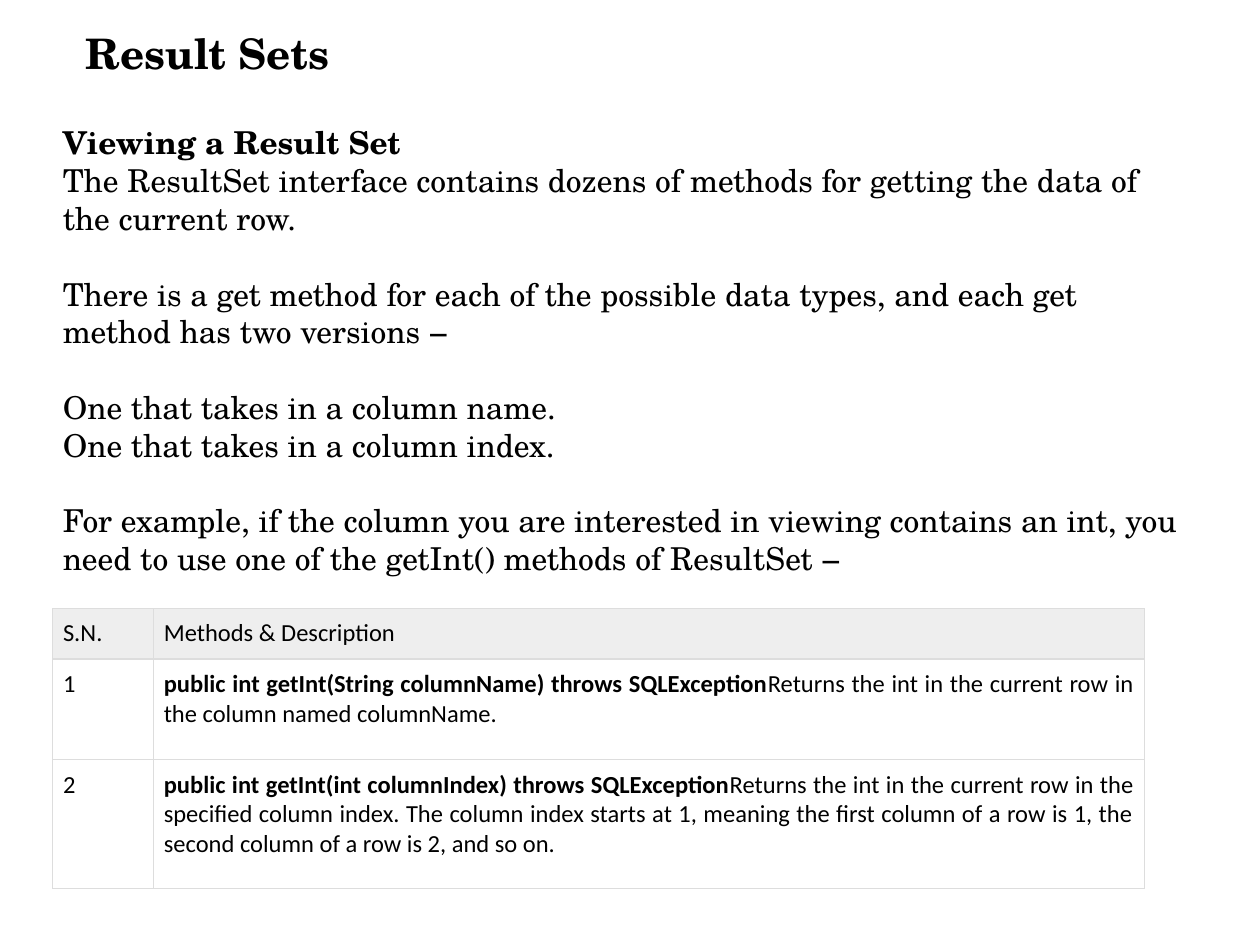
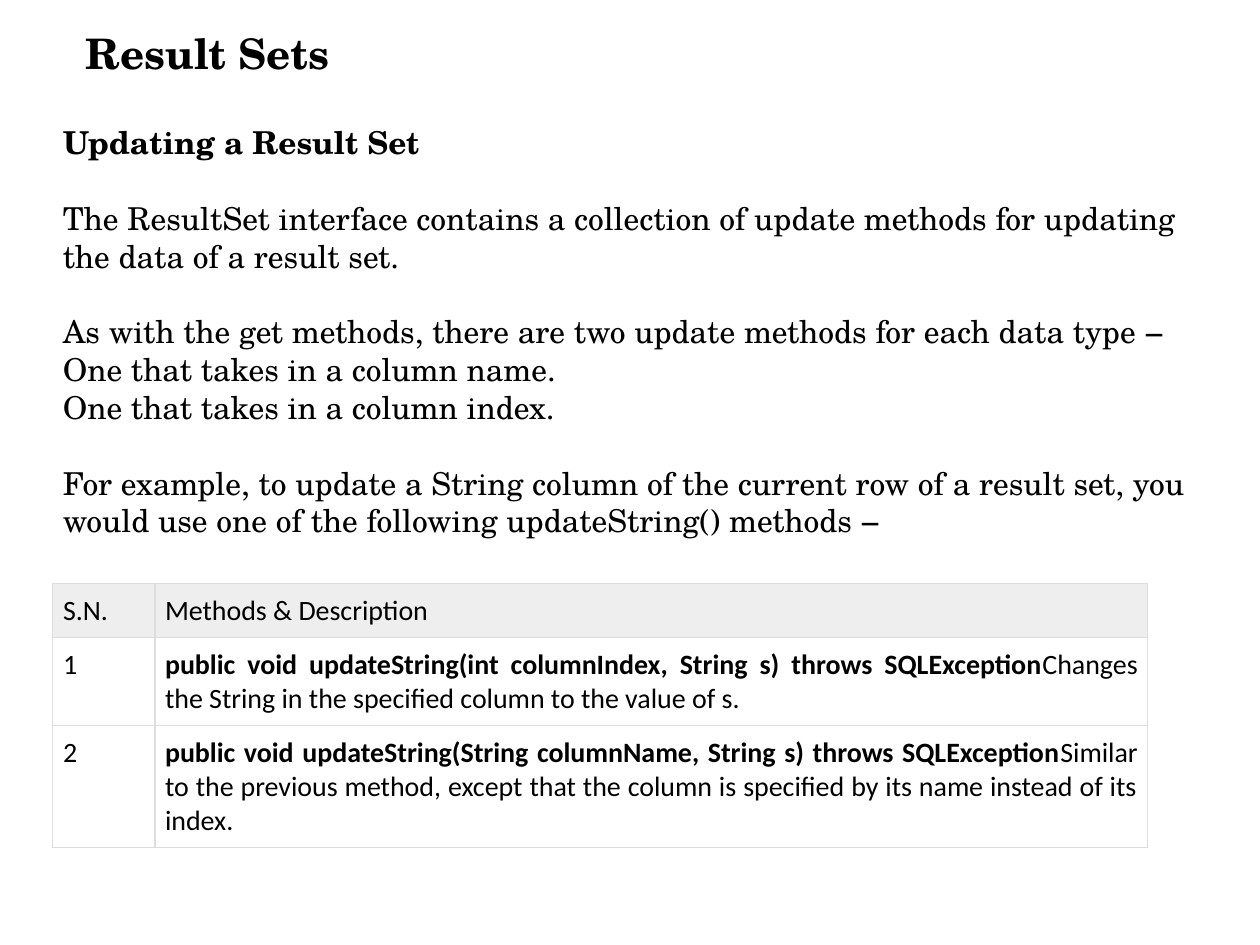
import dataclasses
import lxml.etree
import pptx
import pptx.dml.color
import pptx.enum.text
import pptx.oxml.ns
import pptx.util

Inches = pptx.util.Inches
Pt = pptx.util.Pt
Align = pptx.enum.text.PP_ALIGN


@dataclasses.dataclass(frozen=True)
class Theme:
    ink: str = "000000"
    header_fill: str = "EEEEEE"
    border: str = "DDDDDD"
    border_width: float = 0.75
    serif: str = "TeX Gyre Schola"
    sans: str = "Calibri"
    title_size: int = 24
    body_size: int = 18
    body_gap: float = 21.6
    cell_inset: float = 0.08


theme = Theme()


def write(paragraph, text, font, size, bold=False, align=Align.LEFT, gap=0):
    paragraph.alignment = align
    paragraph.space_before = Pt(gap)
    run = paragraph.add_run()
    run.text = text
    run.font.name = font
    run.font.size = Pt(size)
    run.font.bold = bold
    run.font.color.rgb = pptx.dml.color.RGBColor.from_string(theme.ink)


def format_cell(cell, fill=None):
    cell.margin_left = cell.margin_right = Inches(theme.cell_inset)
    cell.margin_top = cell.margin_bottom = Inches(theme.cell_inset)
    properties = cell._tc.get_or_add_tcPr()
    for side in ("lnL", "lnR", "lnT", "lnB"):
        line = lxml.etree.SubElement(
            properties, pptx.oxml.ns.qn(f"a:{side}"), w=str(Pt(theme.border_width)))
        solid = lxml.etree.SubElement(line, pptx.oxml.ns.qn("a:solidFill"))
        lxml.etree.SubElement(solid, pptx.oxml.ns.qn("a:srgbClr"), val=theme.border)
    if fill:
        cell.fill.solid()
        cell.fill.fore_color.rgb = pptx.dml.color.RGBColor.from_string(fill)
    else:
        cell.fill.background()


pages = [
    {
        "heading": "Viewing a Result Set",
        "blocks": [
            ["The ResultSet interface contains dozens of methods for getting the data of "
             "the current row."],
            ["There is a get method for each of the possible data types, and each get "
             "method has two versions −"],
            ["One that takes in a column name.", "One that takes in a column index."],
            ["For example, if the column you are interested in viewing contains an int, you "
             "need to use one of the getInt() methods of ResultSet −"],
        ],
        "heading_gap": 0,
        "body_height": 4.95,
        "table_top": 4.83,
        "columns": [0.8, 7.86],
        "rows": [0.4, 0.8, 1.02],
        "table_size": 14,
        "methods": [
            ("public int getInt(String columnName) throws SQLException",
             "Returns the int in the current row in the column named columnName."),
            ("public int getInt(int columnIndex) throws SQLException",
             "Returns the int in the current row in the specified column index. The column "
             "index starts at 1, meaning the first column of a row is 1, the second column "
             "of a row is 2, and so on."),
        ],
    },
    {
        "heading": "Updating a Result Set",
        "blocks": [
            ["The ResultSet interface contains a collection of update methods for updating "
             "the data of a result set."],
            ["As with the get methods, there are two update methods for each data type −",
             "One that takes in a column name.", "One that takes in a column index."],
            ["For example, to update a String column of the current row of a result set, you "
             "would use one of the following updateString() methods −"],
        ],
        "heading_gap": theme.body_gap,
        "body_height": 3.74,
        "table_top": 4.63,
        "columns": [0.81, 7.88],
        "rows": [0.43, 0.7, 0.97],
        "table_size": 16,
        "methods": [
            ("public void updateString(int columnIndex, String s) throws SQLException",
             "Changes the String in the specified column to the value of s."),
            ("public void updateString(String columnName, String s) throws SQLException",
             "Similar to the previous method, except that the column is specified by its "
             "name instead of its index."),
        ],
    },
]

presentation = pptx.Presentation()
presentation.slide_width = Inches(10)
presentation.slide_height = Inches(7.5)

for page in pages:
    slide = presentation.slides.add_slide(presentation.slide_layouts[6])

    title = slide.shapes.add_textbox(Inches(0.58), Inches(0.17), Inches(9.16), Inches(0.47))
    title.text_frame.word_wrap = True
    write(title.text_frame.paragraphs[0], "Result Sets",
          font=theme.serif, size=theme.title_size, bold=True)

    body = slide.shapes.add_textbox(
        Inches(0.4), Inches(0.93), Inches(9.17), Inches(page["body_height"]))
    body.text_frame.word_wrap = True
    write(body.text_frame.paragraphs[0], page["heading"],
          font=theme.serif, size=theme.body_size, bold=True)
    for block_index, block in enumerate(page["blocks"]):
        block_gap = theme.body_gap if block_index else page["heading_gap"]
        for line_index, text in enumerate(block):
            write(body.text_frame.add_paragraph(), text, font=theme.serif,
                  size=theme.body_size, gap=0 if line_index else block_gap)

    table = slide.shapes.add_table(
        len(page["rows"]), len(page["columns"]), Inches(0.42), Inches(page["table_top"]),
        Inches(sum(page["columns"])), Inches(sum(page["rows"]))).table
    table.first_row = False
    table.horz_banding = False
    for column, width in zip(table.columns, page["columns"]):
        column.width = Inches(width)
    for row, height in zip(table.rows, page["rows"]):
        row.height = Inches(height)

    cell_format = {"font": theme.sans, "size": page["table_size"]}
    for column_index, label in enumerate(["S.N.", "Methods & Description"]):
        cell = table.cell(0, column_index)
        format_cell(cell, fill=theme.header_fill)
        write(cell.text_frame.paragraphs[0], label, **cell_format)
    for number, (signature, description) in enumerate(page["methods"], start=1):
        number_cell, method_cell = table.cell(number, 0), table.cell(number, 1)
        format_cell(number_cell)
        format_cell(method_cell)
        write(number_cell.text_frame.paragraphs[0], str(number), **cell_format)
        paragraph = method_cell.text_frame.paragraphs[0]
        write(paragraph, signature, bold=True, align=Align.JUSTIFY, **cell_format)
        write(paragraph, description, align=Align.JUSTIFY, **cell_format)

presentation.save("out.pptx")
